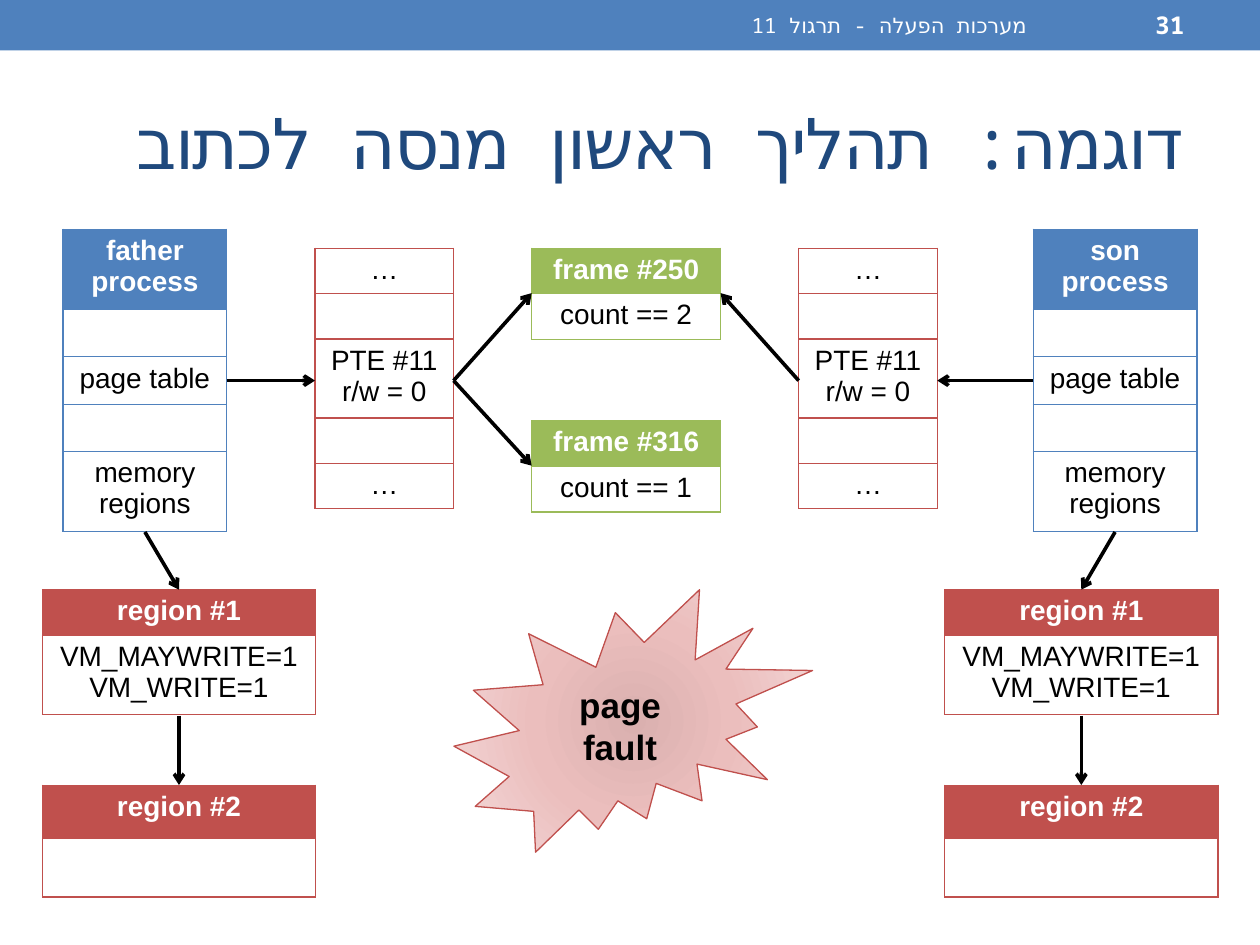
from dataclasses import dataclass

import pptx
import pptx.dml.color
import pptx.enum.shapes
import pptx.enum.text
import pptx.oxml
import pptx.oxml.ns
import pptx.util

Pt = pptx.util.Pt
Align = pptx.enum.text.PP_ALIGN
Anchor = pptx.enum.text.MSO_ANCHOR
Shape = pptx.enum.shapes.MSO_SHAPE
TOP, LEFT, BOTTOM, RIGHT = range(4)
NAMESPACE = pptx.oxml.ns.nsdecls("a")


@dataclass(frozen=True)
class Theme:
    blue: str = "4F81BD"
    red: str = "C0504D"
    green: str = "9BBB59"
    navy: str = "1F497D"
    white: str = "FFFFFF"
    black: str = "000000"
    burst: tuple = ((0, "DAB0AF"), (45, "EBBEBD"), (100, "F4DBDB"))
    body_font: str = "Arial"
    heading_font: str = "Noto Sans Mono"
    title: int = 40
    alert: int = 20
    body: int = 16
    number: int = 14
    footer: int = 12
    border: float = 0.75
    arrow: float = 2.08


THEME = Theme()


def rgb(color):
    return pptx.dml.color.RGBColor.from_string(color)


def points(*lengths):
    return [Pt(length) for length in lengths]


def xml(text):
    return pptx.oxml.parse_xml(text)


def format_text(frame, size, color, font, bold=False, align=Align.CENTER):
    for para in frame.paragraphs:
        para.alignment = align
        for span in para.runs:
            span.font.size = Pt(size)
            span.font.name = font
            span.font.bold = bold
            span.font.color.rgb = rgb(color)


def format_hebrew(frame, size, color, bold=False, spacing=0):
    frame.word_wrap = True
    frame.vertical_anchor = Anchor.MIDDLE
    format_text(frame, size, color, THEME.heading_font, bold, Align.RIGHT)
    for para in frame.paragraphs:
        para._p.get_or_add_pPr().set("rtl", "1")
        for span in para.runs:
            properties = span._r.get_or_add_rPr()
            properties.set("lang", "he-IL")
            if spacing:
                properties.set("spc", str(spacing * 100))
            properties.append(xml(f'<a:cs {NAMESPACE} typeface="{THEME.heading_font}"/>'))


def add_header(page, left, top, width, height):
    band = page.shapes.add_shape(Shape.RECTANGLE, *points(left, top, width, height))
    band.shadow.inherit = False
    band.fill.solid()
    band.fill.fore_color.rgb = rgb(THEME.blue)
    band.line.fill.background()
    labels = (
        ("מערכות הפעלה - תרגול 11", 270, 324, THEME.footer, False),
        ("31", 600, 84, THEME.number, True),
    )
    for text, offset, label_width, size, bold in labels:
        box = page.shapes.add_textbox(
            *points(left + offset, top + 1.4, label_width, height - 2.8))
        box.text_frame.text = text
        format_hebrew(box.text_frame, size, THEME.white, bold)


def add_title(page, left, top, width, height):
    title = page.shapes.title
    title.left, title.top, title.width, title.height = points(left, top, width, height)
    title.text_frame.text = "דוגמה: תהליך ראשון מנסה לכתוב"
    format_hebrew(title.text_frame, THEME.title, THEME.navy, spacing=-1)


def format_cell(cell, text, color, is_header):
    cell.margin_top = cell.margin_bottom = Pt(3.4)
    cell.text_frame.text = text
    format_text(cell.text_frame, THEME.body, THEME.white if is_header else THEME.black,
                THEME.body_font, is_header)
    if not text:
        end = cell.text_frame.paragraphs[0]._p.get_or_add_endParaRPr()
        end.set("sz", str(THEME.body * 100))
    if is_header:
        cell.fill.solid()
        cell.fill.fore_color.rgb = rgb(color)
    else:
        cell.fill.background()
    for index, side in enumerate("LRTB"):
        cell._tc.get_or_add_tcPr().insert(index, xml(
            f'<a:ln{side} {NAMESPACE} w="{Pt(THEME.border)}"><a:solidFill>'
            f'<a:srgbClr val="{color}"/></a:solidFill></a:ln{side}>'))


def add_record(page, left, top, width, rows, color, has_header=True):
    total = sum(height for height, text in rows)
    box = page.shapes.add_table(len(rows), 1, *points(left, top, width, total))
    box.table.first_row = box.table.horz_banding = False
    for index, (height, text) in enumerate(rows):
        box.table.rows[index].height = Pt(height)
        format_cell(box.table.cell(index, 0), text, color, has_header and index == 0)
    return box


def add_process(page, left, top, name):
    rows = ((46, name), (27, ""), (27, "page table"), (27, ""), (46, "memory regions"))
    return add_record(page, left, top, 93.6, rows, THEME.blue)


def add_page_table(page, left, top):
    rows = ((25.2, "…"), (25.2, ""), (43.4, "PTE #11\vr/w = 0"), (25.2, ""), (25.2, "…"))
    return add_record(page, left, top, 79.2, rows, THEME.red, has_header=False)


def add_frame(page, left, top, number, count):
    rows = ((25.2, f"frame #{number}"), (26.2, f"count == {count}"))
    return add_record(page, left, top, 108, rows, THEME.green)


def add_regions(page, left, top):
    flags = ((25, "region #1"), (43.4, "VM_MAYWRITE=1\nVM_WRITE=1"))
    empty = ((30.6, "region #2"), (33.4, ""))
    first = add_record(page, left, top, 156.2, flags, THEME.red)
    second = add_record(page, left, top + 111.6, 156.2, empty, THEME.red)
    add_arrow(page, (first, BOTTOM, 72), (second, TOP))
    return first


def locate(box, side, drop=None):
    across = {LEFT: 0, RIGHT: 1}.get(side, 0.5)
    down = {TOP: 0, BOTTOM: 1}.get(side, 0.5)
    offset = int(box.height * down) if drop is None else Pt(drop)
    return box.left + int(box.width * across), box.top + offset


def add_arrow(page, start, end):
    arrow = page.shapes.add_connector(
        pptx.enum.shapes.MSO_CONNECTOR.STRAIGHT, *locate(*start), *locate(*end))
    for connect, port in ((arrow.begin_connect, start), (arrow.end_connect, end)):
        if len(port) == 2:
            connect(*port)
    arrow.line.color.rgb = rgb(THEME.black)
    arrow.line.width = Pt(THEME.arrow)
    arrow.line._get_or_add_ln().append(xml(f'<a:tailEnd {NAMESPACE} type="arrow"/>'))
    arrow._element.spPr.append(xml(f"<a:effectLst {NAMESPACE}/>"))


def add_burst(page, left, top, width, height):
    burst = page.shapes.add_shape(Shape.EXPLOSION2, *points(left, top, width, height))
    burst.shadow.inherit = False
    stops = "".join(f'<a:gs pos="{position * 1000}"><a:srgbClr val="{color}"/></a:gs>'
                    for position, color in THEME.burst)
    burst._element.spPr.find(pptx.oxml.ns.qn("a:prstGeom")).addnext(xml(
        f'<a:gradFill {NAMESPACE}><a:gsLst>{stops}</a:gsLst><a:path path="circle">'
        '<a:fillToRect l="100000" t="100000" r="100000" b="100000"/></a:path></a:gradFill>'))
    burst.line.color.rgb = rgb(THEME.red)
    burst.line.width = Pt(THEME.border)
    burst.text_frame.text = "page fault"
    burst.text_frame.word_wrap = True
    burst.text_frame.vertical_anchor = Anchor.MIDDLE
    format_text(burst.text_frame, THEME.alert, THEME.black, THEME.body_font, True)


def add_side(page, name, process_left, table_left, region_left, frames, inner, outer):
    process = add_process(page, process_left, 131, name)
    table = add_page_table(page, table_left, 141.8)
    regions = add_regions(page, region_left, 337)
    add_arrow(page, (process, inner), (table, outer, 75.7))
    add_arrow(page, (process, BOTTOM), (regions, TOP))
    for frame in frames:
        add_arrow(page, (table, inner, 75.7), (frame, outer))


def main():
    deck = pptx.Presentation()
    deck.slide_width, deck.slide_height = points(720, 540)
    page = deck.slides.add_slide(deck.slide_layouts[5])
    add_header(page, 0, 0, 720, 28.8)
    add_title(page, 36, 42, 648, 78)
    shared = add_frame(page, 303.8, 141.8, 250, 2)
    private = add_frame(page, 303.8, 240.4, 316, 1)
    add_side(page, "father process", 36, 180, 24.2, (shared, private), RIGHT, LEFT)
    add_side(page, "son process", 590.4, 456.4, 539.8, (shared,), LEFT, RIGHT)
    add_burst(page, 259.4, 337, 205, 150)
    deck.save("out.pptx")


if __name__ == "__main__":
    main()
